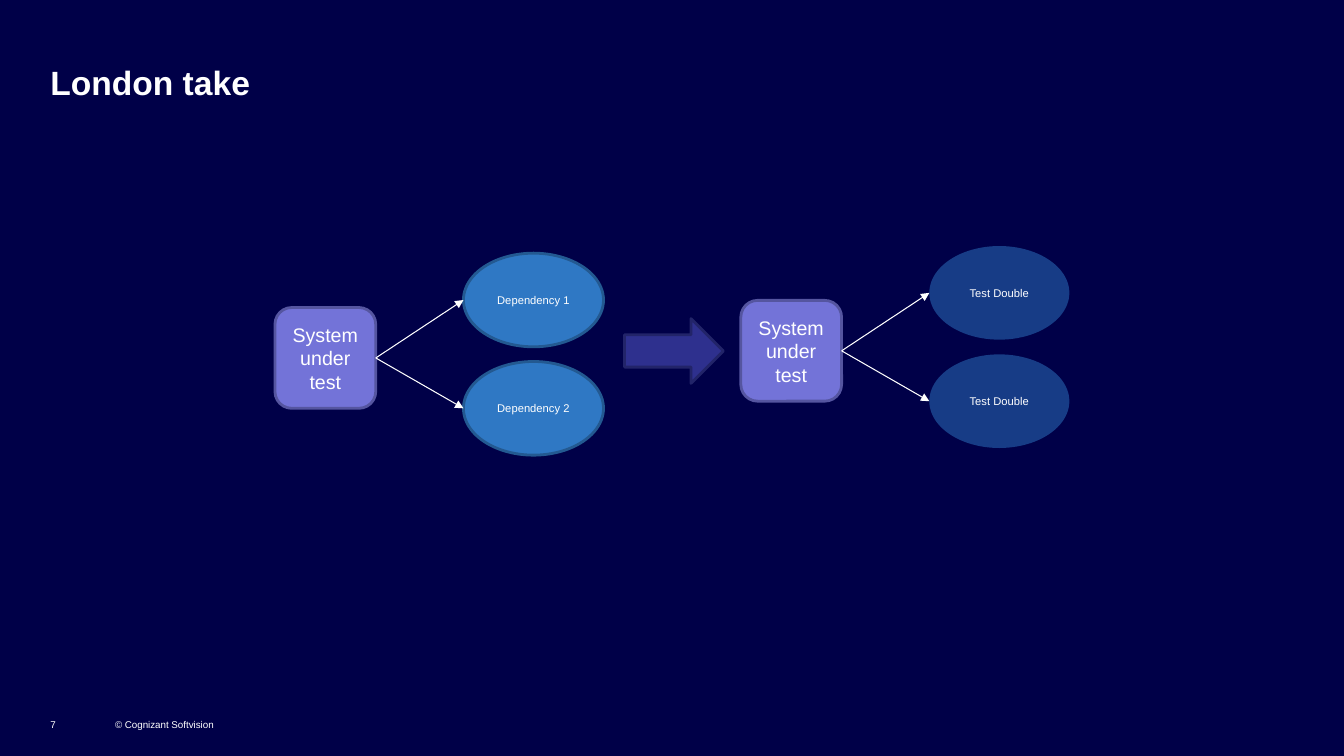
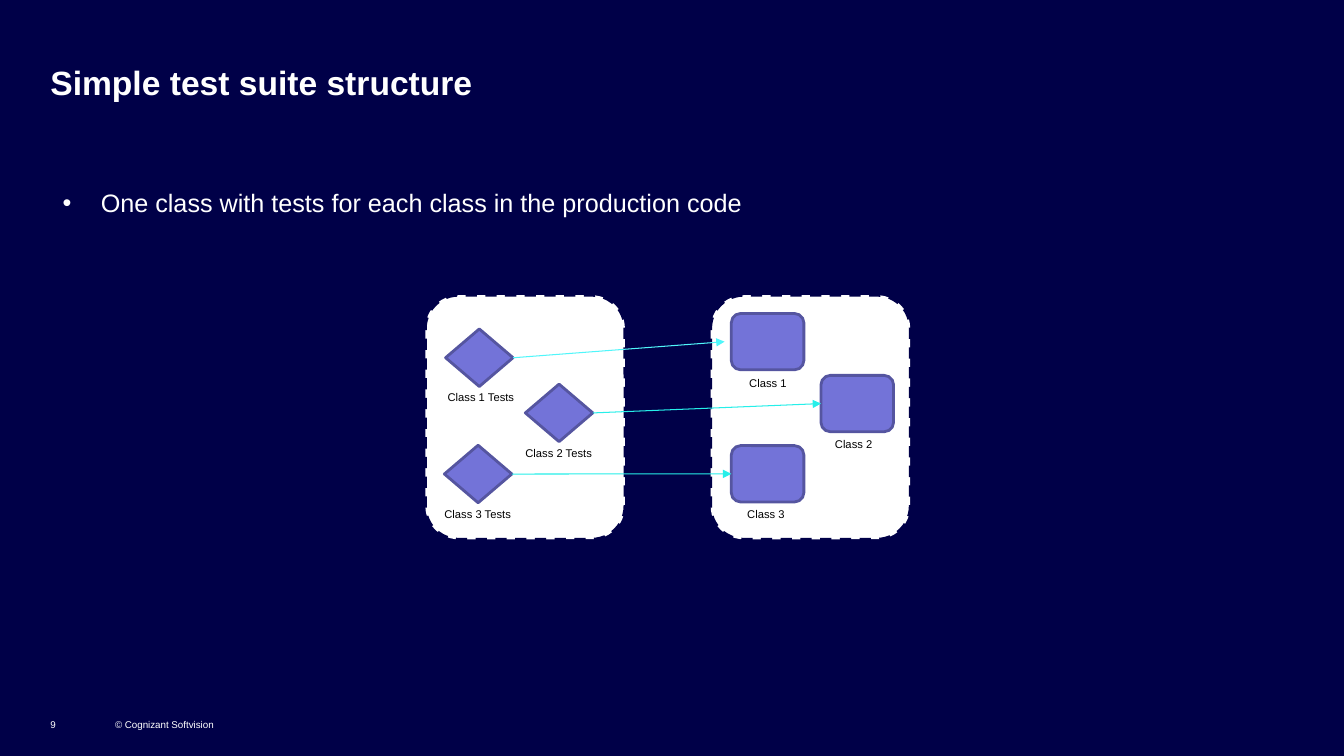
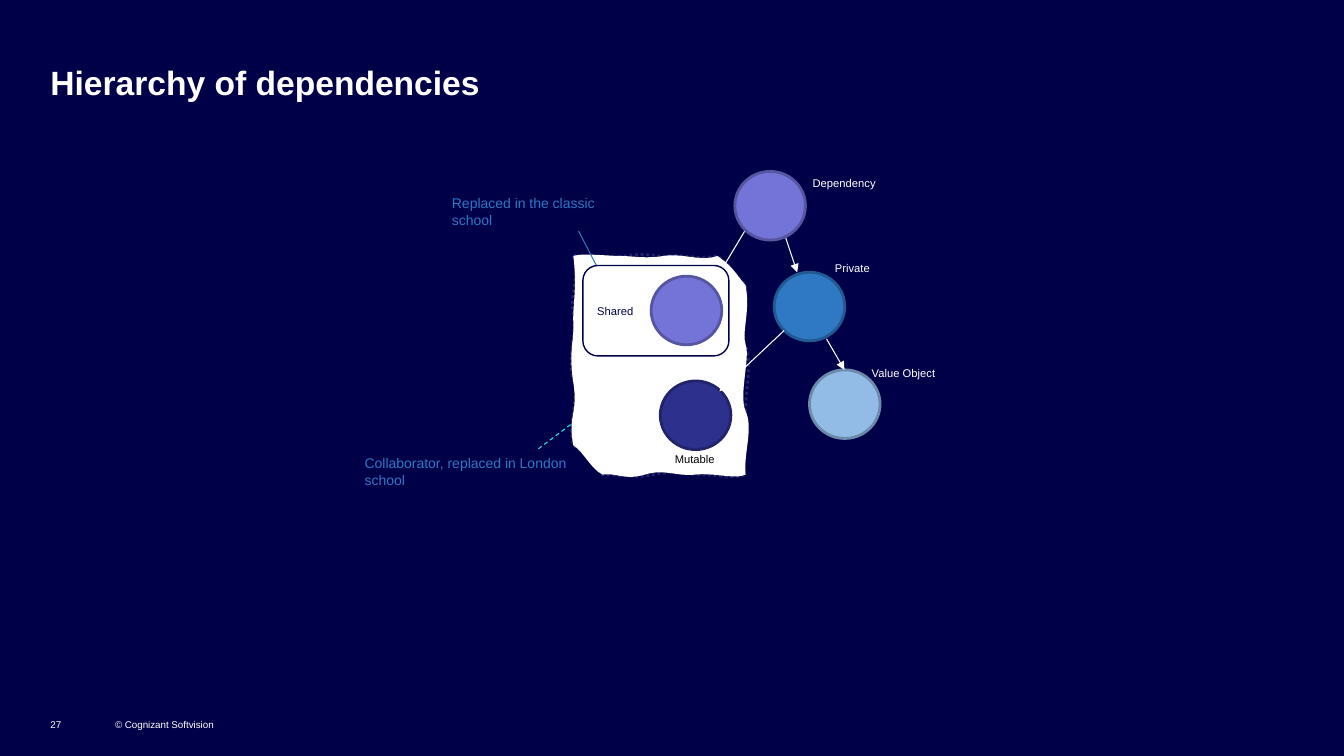
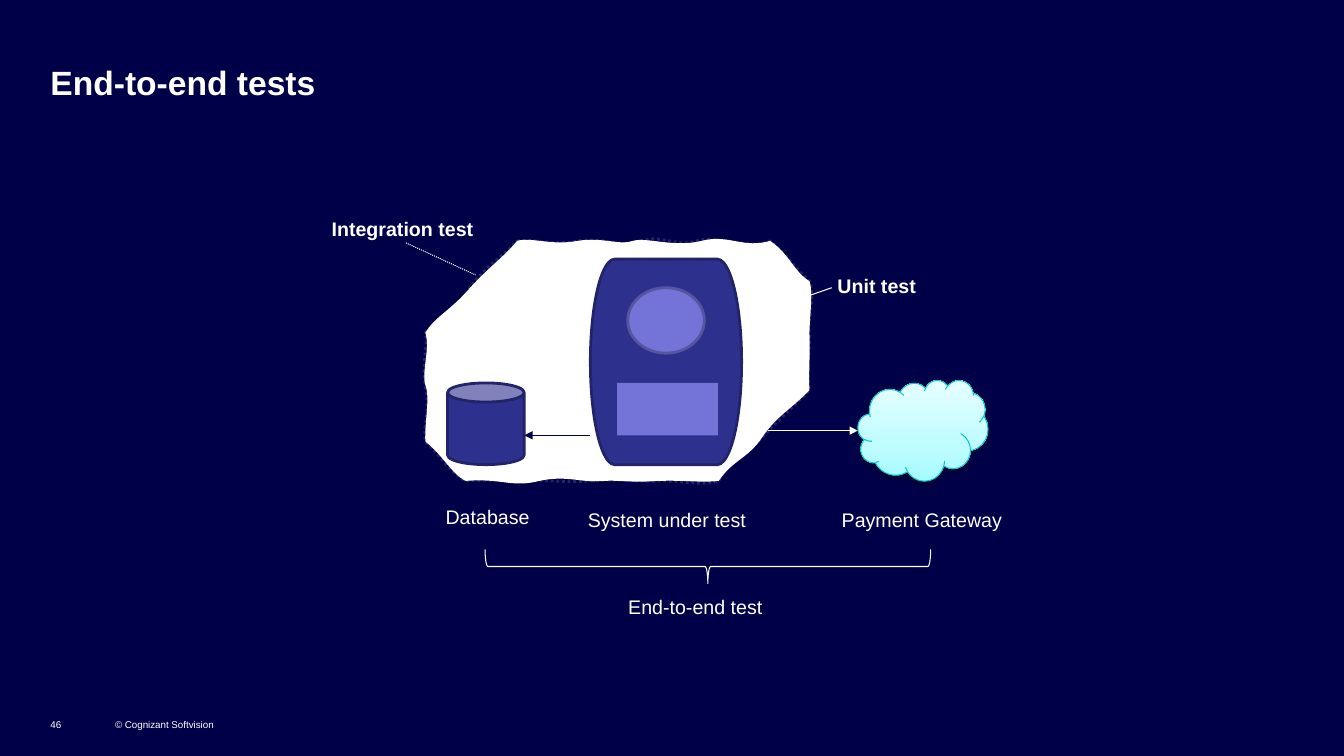
from copy import deepcopy

from lxml.etree import SubElement
from pptx import Presentation
from pptx.dml.color import RGBColor
from pptx.enum.dml import MSO_LINE
from pptx.enum.shapes import MSO_CONNECTOR, MSO_SHAPE
from pptx.enum.text import MSO_ANCHOR, PP_ALIGN
from pptx.oxml.ns import qn
from pptx.util import Cm, Pt

COLORS = {
    "navy": "000048", "white": "FFFFFF", "black": "000000",
    "violet": "7373D8", "violet_edge": "5555A0",
    "blue": "2F78C4", "blue_edge": "235991",
    "indigo": "2E308E", "indigo_edge": "222469",
    "sky": "92BBE6", "sky_edge": "6C8AAA",
    "cyan": "26EFE9", "cyan_light": "50F6FA",
    "cloud_low": "A5FBFF", "cloud_mid": "BFFCFF", "cloud_high": "E7FEFF",
    "cloud_edge": "01C7CC",
}
FONT = "Arial"
NO_INSETS = dict(margin_left=0, margin_right=0, margin_top=0, margin_bottom=0)

# Wavy outlines: a start point, then one cubic curve per row, on a grid
# whose size is given with them.
COLLABORATOR_GRID = (171, 217)
COLLABORATOR_EDGE = [
    (0, 0), (19, -1, 26, 5, 51, 0), (76, -4, 85, 2, 94, 0),
    (103, -2, 126, 4, 143, 0), (154, 7, 160, 18, 171, 29),
    (174, 48, 165, 76, 171, 90), (178, 103, 171, 134, 171, 152),
    (172, 171, 164, 203, 171, 217), (158, 222, 143, 217, 128, 217),
    (114, 217, 95, 213, 79, 217), (64, 221, 40, 217, 29, 217),
    (17, 205, 11, 194, 0, 188), (-6, 163, 7, 138, 0, 122),
    (-7, 105, 4, 73, 0, 57), (-4, 42, 7, 16, 0, 0),
]
COLLABORATOR_FILL = [
    (0, 0), (9, -3, 34, 0, 46, 0), (59, 0, 71, 3, 90, 0),
    (108, -3, 127, 6, 143, 0), (160, 12, 161, 18, 171, 29),
    (176, 56, 167, 75, 171, 88), (176, 100, 164, 138, 171, 154),
    (179, 171, 169, 195, 171, 217), (161, 222, 140, 215, 121, 217),
    (102, 219, 91, 211, 71, 217), (50, 223, 44, 215, 29, 217),
    (17, 211, 10, 194, 0, 188), (-6, 159, 5, 156, 0, 126),
    (-5, 95, 1, 83, 0, 67), (-1, 50, 4, 32, 0, 0),
]
INTEGRATION_GRID = (381, 238)
INTEGRATION_EDGE = [
    (91, 0), (114, -2, 127, 5, 151, 0), (175, -4, 193, 7, 214, 0),
    (235, -7, 249, 7, 269, 0), (289, -6, 325, 9, 342, 0),
    (360, 15, 362, 22, 381, 40), (387, 55, 379, 79, 381, 92),
    (383, 105, 377, 121, 381, 148), (371, 159, 349, 178, 334, 195),
    (319, 211, 300, 219, 291, 238), (273, 243, 260, 238, 233, 238),
    (206, 239, 198, 236, 165, 238), (133, 240, 127, 237, 105, 238),
    (83, 239, 76, 236, 40, 238), (27, 232, 15, 213, 0, 199),
    (-3, 186, 5, 170, 0, 145), (-4, 119, 3, 103, 0, 91),
    (15, 73, 28, 70, 44, 47), (60, 24, 78, 15, 91, 0),
]
INTEGRATION_FILL = [
    (91, 0), (106, -4, 125, 5, 151, 0), (178, -4, 193, 5, 206, 0),
    (220, -4, 247, 7, 274, 0), (301, -7, 315, 8, 342, 0),
    (362, 14, 365, 30, 381, 40), (385, 51, 381, 76, 381, 92),
    (382, 107, 380, 133, 381, 148), (364, 166, 349, 173, 334, 195),
    (320, 216, 305, 217, 291, 238), (271, 240, 259, 237, 230, 238),
    (202, 240, 197, 237, 175, 238), (154, 240, 140, 232, 113, 238),
    (85, 245, 76, 235, 40, 238), (26, 231, 17, 212, 0, 199),
    (-1, 179, 5, 156, 0, 143), (-4, 130, 5, 107, 0, 91),
    (11, 74, 24, 70, 44, 47), (64, 25, 79, 15, 91, 0),
]


def rgb(name):
    return RGBColor.from_string(COLORS[name])


def set_all(obj, values):
    for key, value in values.items():
        setattr(obj, key, value)


def write(tf, text, size, color="white", bold=False, align=PP_ALIGN.LEFT, **frame):
    set_all(tf, frame)
    p = tf.paragraphs[0]
    p.alignment = align
    r = p.add_run()
    r.text = text
    set_all(r.font, dict(name=FONT, size=Pt(size), bold=bold))
    r.font.color.rgb = rgb(color)
    return p


def paint(sp, fill=None, edge=None, width=2, dash=None):
    """Set fill and outline; None leaves that part out."""
    sp.shadow.inherit = False
    if fill:
        sp.fill.solid()
        sp.fill.fore_color.rgb = rgb(fill)
    else:
        sp.fill.background()
    if edge:
        sp.line.color.rgb = rgb(edge)
        set_all(sp.line, dict(width=Pt(width), dash_style=dash))
    else:
        sp.line.fill.background()


def add_box(s, kind, box, fill=None, edge=None, **line):
    sp = s.shapes.add_shape(kind, *map(Cm, box))
    paint(sp, fill, edge, **line)
    return sp


def add_text(s, box, text, size, color="white", **options):
    tb = s.shapes.add_textbox(*map(Cm, box))
    options = {"word_wrap": True, **options}
    return write(tb.text_frame, text, size, color, **options)


def add_label(s, box, text, size, color="white", bold=False):
    add_text(s, box, text, size, color, bold=bold,
             align=PP_ALIGN.CENTER, word_wrap=False)


def add_line(s, start, end, color="white", arrow=True, dash=None):
    c = s.shapes.add_connector(MSO_CONNECTOR.STRAIGHT, *map(Cm, (*start, *end)))
    c.line.color.rgb = rgb(color)
    set_all(c.line, dict(width=Pt(0.75), dash_style=dash))
    if arrow:
        SubElement(c.line._get_or_add_ln(), qn("a:tailEnd"), type="triangle")
    SubElement(c._element.spPr, qn("a:effectLst"))
    return c


def add_curves(paths, grid, outline, **flags):
    """Add a closed run of cubic curves to the path list of a freeform."""
    w, h = map(str, grid)
    curve = SubElement(paths, qn("a:path"), w=w, h=h, **flags)
    for numbers in outline:
        tag = "a:moveTo" if len(numbers) == 2 else "a:cubicBezTo"
        step = SubElement(curve, qn(tag))
        for x, y in zip(numbers[::2], numbers[1::2]):
            SubElement(step, qn("a:pt"), x=str(x), y=str(y))
    SubElement(curve, qn("a:close"))


def add_wavy(s, box, grid, edge, fill):
    """A dotted wavy outline with a white, slightly different wavy area on it."""
    x, y, w, h = map(Cm, box)
    corners = [numbers[-2:] for numbers in edge]
    fb = s.shapes.build_freeform(*corners[0], scale=(w / grid[0], h / grid[1]))
    fb.add_line_segments(corners[1:], close=True)
    sp = fb.convert_to_shape(x, y)
    paint(sp, "white", "indigo_edge", dash=MSO_LINE.ROUND_DOT)
    paths = sp._element.spPr.find(".//" + qn("a:pathLst"))
    paths.remove(paths[0])
    add_curves(paths, grid, edge, fill="none")
    add_curves(paths, grid, fill, stroke="0")


def placer(left, top):
    """Shift a point or box from its region to the slide."""
    return lambda x, y, *size: (left + x, top + y, *size)


def new_slide(prs, title, number):
    s = prs.slides.add_slide(prs.slide_layouts[5])
    sp = s.shapes.title
    set_all(sp, dict(left=Cm(1.27), top=Cm(1.55), width=Cm(30.02), height=Cm(1.02)))
    write(sp.text_frame, title, 24, bold=True, word_wrap=True,
          vertical_anchor=MSO_ANCHOR.TOP, **NO_INSETS)
    footer = ((2.9, 3.33, "© Cognizant Softvision"), (1.27, 0.99, str(number)))
    for left, width, text in footer:
        add_text(s, (left, 17.56, width, 0.84), text, 7,
                 vertical_anchor=MSO_ANCHOR.BOTTOM, **NO_INSETS)
    return s


def add_system(s, left, top, targets, edge=None, opacity=None):
    """A system box with an arrow to each of its targets."""
    at = placer(left, top)
    system = add_box(s, MSO_SHAPE.ROUNDED_RECTANGLE, at(0, 1.37, 2.54, 2.54),
                     "violet", "violet_edge")
    write(system.text_frame, "System under test", 14, align=PP_ALIGN.CENTER)
    w, h, step = 3.53, 2.36, 2.73
    for i, name in enumerate(targets):
        sp = add_box(s, MSO_SHAPE.OVAL, at(4.75, i * step, w, h), "blue", edge)
        if opacity:
            color = sp._element.spPr.find(".//" + qn("a:srgbClr"))
            SubElement(color, qn("a:alpha"), val=str(opacity * 1000))
        write(sp.text_frame, name, 8, align=PP_ALIGN.CENTER)
        c = add_line(s, at(2.54, 2.64), at(4.75, i * step + h / 2))
        c.begin_connect(system, 3)


def london_slide(prs):
    s = new_slide(prs, "London take", 7)
    add_system(s, 6.93, 6.38, ["Dependency 1", "Dependency 2"], edge="blue_edge")
    add_box(s, MSO_SHAPE.RIGHT_ARROW, (15.74, 8.03, 2.49, 1.63),
            "indigo", "indigo_edge")
    add_system(s, 18.67, 6.2, ["Test Double"] * 2, opacity=50)


def add_panel(s, left, top, kind, size, caption_width, items):
    """A dashed panel of captioned shapes; returns the shapes."""
    at = placer(left, top)
    add_box(s, MSO_SHAPE.ROUNDED_RECTANGLE, at(0, 0, 5.03, 6.15),
            "white", "navy", dash=MSO_LINE.DASH)
    shapes = []
    for corner, caption_corner, caption in items:
        shapes.append(add_box(s, kind, at(*corner, *size), "violet", "violet_edge"))
        add_label(s, at(*caption_corner, caption_width, 0.61), caption, 8, "black")
    return shapes


def suite_slide(prs):
    s = new_slide(prs, "Simple test suite structure", 9)
    p = add_text(s, (1.27, 4.72, 31.57, 11),
                 "One class with tests for each class in the production code",
                 18, **NO_INSETS)
    pPr = p._p.get_or_add_pPr()
    pPr.set("marL", str(Cm(1.27)))
    pPr.set("indent", str(Cm(-0.96)))
    SubElement(pPr, qn("a:buFont"), typeface=FONT)
    SubElement(pPr, qn("a:buChar"), char="•")

    tests = add_panel(s, 10.72, 7.44, MSO_SHAPE.DIAMOND, (1.7, 1.45), 2.24, [
        ((0.51, 0.85), (0.28, 2.28), "Class 1 Tests"),
        ((2.52, 2.24), (2.24, 3.67), "Class 2 Tests"),
        ((0.48, 3.78), (0.2, 5.23), "Class 3 Tests")])
    classes = add_panel(
        s, 17.91, 7.44, MSO_SHAPE.ROUNDED_RECTANGLE, (1.83, 1.42), 1.47, [
            ((0.52, 0.46), (0.71, 1.93), "Class 1"),
            ((2.78, 2.02), (2.87, 3.45), "Class 2"),
            ((0.52, 3.79), (0.66, 5.23), "Class 3")])
    first = add_line(s, (12.93, 9.07), (18.26, 8.61), "cyan_light")
    first.begin_connect(tests[0], 3)
    for test, cls in zip(tests[1:], classes[1:]):
        c = add_line(s, (0, 0), (1, 1), "cyan")
        c.begin_connect(test, 3)
        c.end_connect(cls, 1)


def add_hierarchy(s, left, top):
    at = placer(left, top)

    def add_node(x, y, color):
        add_box(s, MSO_SHAPE.OVAL, at(x, y, 1.78, 1.73), color, color + "_edge")

    add_wavy(s, at(5.51, 2.13, 4.34, 5.51), COLLABORATOR_GRID,
             COLLABORATOR_EDGE, COLLABORATOR_FILL)
    for node in ((7.7, 5.28, "indigo"), (10.57, 2.54, "blue"), (11.46, 5, "sky")):
        add_node(*node)
    for start, end in (((9.83, 1.5), (8.99, 2.9)), ((10.82, 1.55), (11.15, 2.54)),
                       ((11.89, 4.22), (12.34, 5)), ((10.82, 4.01), (9.19, 5.54))):
        add_line(s, at(*start), at(*end))
    for x, y, w, text, color in (
            (11.84, 2.13, 1.4, "Private", "white"),
            (12.75, 4.78, 2.16, "Value Object", "white"),
            (7.81, 6.96, 1.52, "Mutable", "black"),
            (11.27, 0, 2.13, "Dependency", "white")):
        add_label(s, at(x, y, w, 0.61), text, 8, color)
    for x, y, w, text in ((0, 7.02, 5.74, "Collaborator, replaced in London school"),
                          (2.2, 0.45, 4.34, "Replaced in the classic school")):
        add_text(s, at(x, y, w, 1.12), text, 10, "blue")
    add_line(s, at(5.44, 6.38), at(4.6, 7.01), "cyan", arrow=False, dash=MSO_LINE.DASH)
    add_line(s, at(5.64, 1.5), at(6.1, 2.39), "blue", arrow=False)
    add_node(9.58, 0, "violet")
    shared = add_box(s, MSO_SHAPE.ROUNDED_RECTANGLE, at(5.75, 2.37, 3.68, 2.28),
                     "white", "navy", width=1)
    write(shared.text_frame, "Shared", 8, "navy")
    add_node(7.47, 2.64, "violet")


def hierarchy_slide(prs):
    add_hierarchy(new_slide(prs, "Hierarchy of dependencies", 27), 8.94, 4.32)


def add_cloud(s, box):
    sp = add_box(s, MSO_SHAPE.CLOUD, box, "cloud_mid", "cloud_edge", width=0.75)
    sp.fill.gradient()
    sp.fill.gradient_angle = 90
    stops = sp._element.spPr.find(".//" + qn("a:gsLst"))
    stops.append(deepcopy(stops[-1]))
    shades = ((0, "cloud_low"), (0.35, "cloud_mid"), (1, "cloud_high"))
    for stop, (position, color) in zip(sp.fill.gradient_stops, shades):
        stop.position = position
        stop.color.rgb = rgb(color)
    effects = sp._element.spPr.find(qn("a:effectLst"))
    shadow = SubElement(effects, qn("a:outerShdw"), blurRad=str(Pt(3.1)),
                        dist=str(Pt(1.6)), dir="5400000", rotWithShape="0")
    color = SubElement(shadow, qn("a:srgbClr"), val=COLORS["black"])
    SubElement(color, qn("a:alpha"), val="38000")


def add_test_scopes(s, left, top):
    at = placer(left, top)
    add_wavy(s, at(2.62, 0.74, 9.68, 6.05), INTEGRATION_GRID,
             INTEGRATION_EDGE, INTEGRATION_FILL)
    for kind, box, fill, edge in (
            (MSO_SHAPE.FLOWCHART_TERMINATOR, (6.78, 1.2, 3.81, 5.18),
             "indigo", "indigo_edge"),
            (MSO_SHAPE.CAN, (3.18, 4.32, 1.93, 2.06), "indigo", "indigo_edge"),
            (MSO_SHAPE.RECTANGLE, (7.45, 4.32, 2.54, 1.32), "violet", None),
            (MSO_SHAPE.OVAL, (7.72, 1.92, 1.93, 1.65), "violet", "violet_edge")):
        add_box(s, kind, at(*box), fill, edge)
    add_line(s, at(6.78, 5.64), at(5.11, 5.64), "navy")
    add_line(s, at(11.25, 5.52), at(13.52, 5.52))
    add_cloud(s, at(13.52, 4.25, 3.28, 2.54))
    brace = add_box(s, MSO_SHAPE.LEFT_BRACE, at(9.31, 3.33, 0.86, 11.23),
                    edge="white", width=0.75)
    brace.rotation = 270
    add_line(s, at(10.57, 2.72), at(12.86, 1.92), arrow=False)
    add_line(s, at(2.13, 0.79), at(3.89, 1.6), arrow=False, dash=MSO_LINE.ROUND_DOT)
    for x, y, w, text, bold in (
            (2.87, 7.26, 2.64, "Database", False),
            (6.45, 7.34, 4.52, "System under test", False),
            (12.85, 7.34, 4.57, "Payment Gateway", False),
            (7.47, 9.53, 3.91, "End-to-end test", False),
            (12.75, 1.45, 2.49, "Unit test", True),
            (0, 0, 4.09, "Integration test", True)):
        add_label(s, at(x, y, w, 0.86), text, 14, bold=bold)


def end_to_end_slide(prs):
    add_test_scopes(new_slide(prs, "End-to-end tests", 46), 8.1, 5.33)


def main():
    prs = Presentation()
    set_all(prs, dict(slide_width=Cm(33.87), slide_height=Cm(19.05)))
    background = prs.slide_master.background.fill
    background.solid()
    background.fore_color.rgb = rgb("navy")
    for build in (london_slide, suite_slide, hierarchy_slide, end_to_end_slide):
        build(prs)
    prs.save("out.pptx")


if __name__ == "__main__":
    main()
